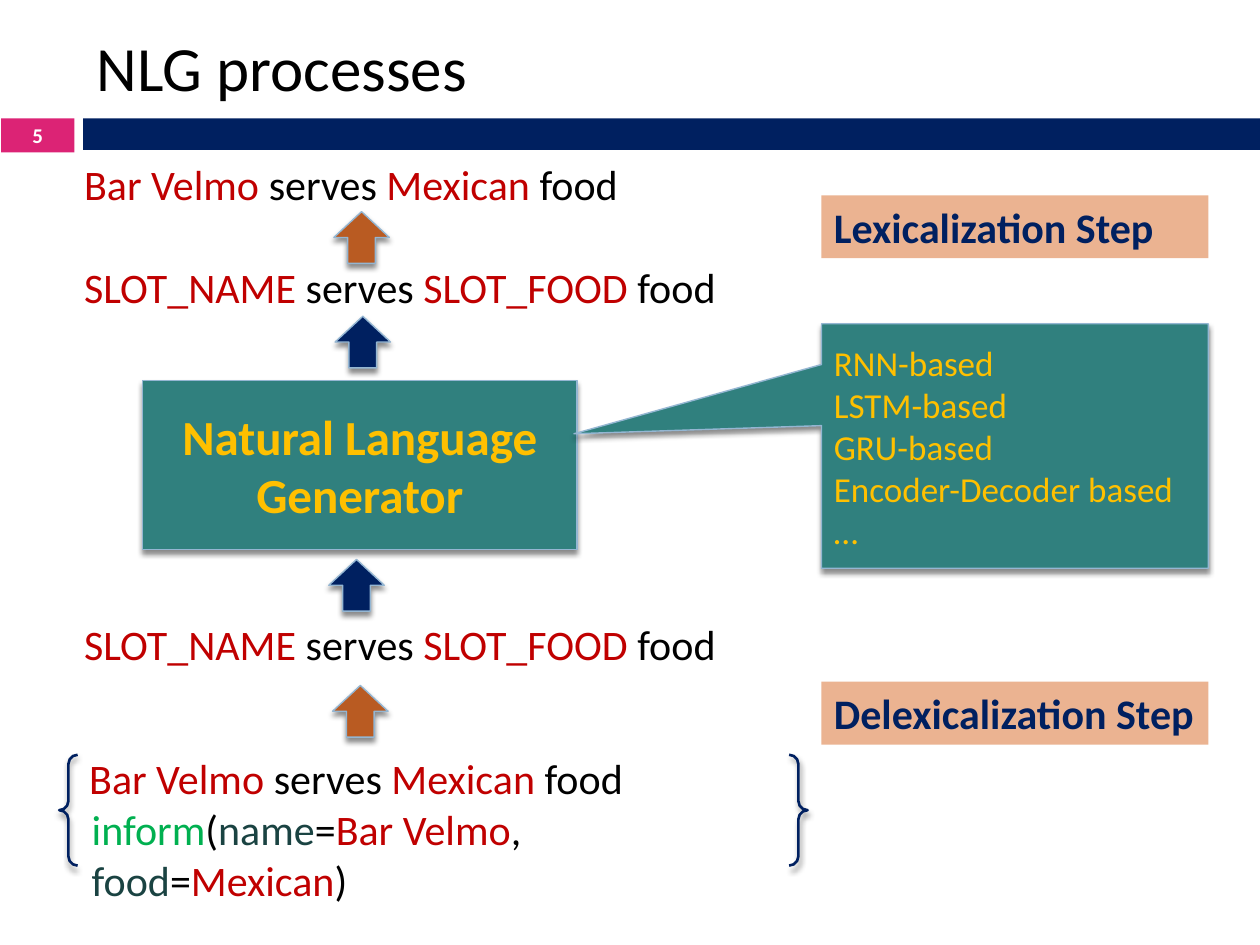
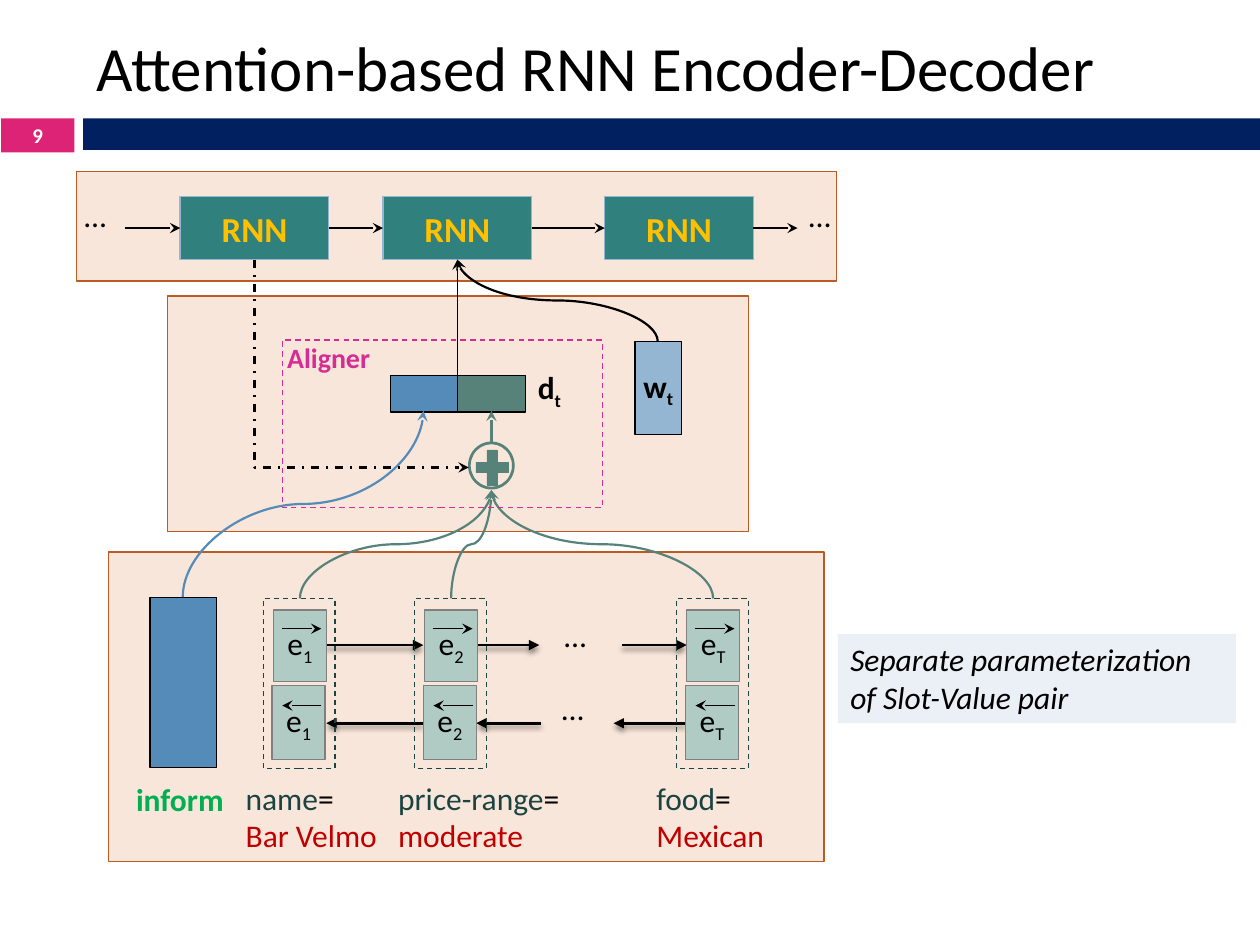
import lxml.etree
import pptx
import pptx.dml.color
import pptx.enum.dml
import pptx.enum.shapes
import pptx.enum.text
import pptx.oxml.ns
import pptx.util

Inches = pptx.util.Inches
Pt = pptx.util.Pt
qn = pptx.oxml.ns.qn
SHAPE = pptx.enum.shapes.MSO_SHAPE
CONNECTOR = pptx.enum.shapes.MSO_CONNECTOR
DASH = pptx.enum.dml.MSO_LINE
ALIGN = pptx.enum.text.PP_ALIGN
ANCHOR = pptx.enum.text.MSO_ANCHOR

FONT = "Calibri"
THIN = 0.79
COLOURS = {
    "black": "000000", "white": "FFFFFF", "pink": "DC2375", "navy": "002060",
    "red": "C00000", "green": "00B050", "slot": "1A4342", "teal": "30807E",
    "gold": "FFC000", "sky": "94B6D2", "rust": "B95B22", "peach": "EBB391",
    "cream": "F8E6DA", "magenta": "D62D94", "blue": "558BB8", "moss": "578279",
    "mint": "B0CAC4", "grey": "808080", "pale": "EAF0F6",
}
VALUE_SENTENCE = [("Bar Velmo ", "red"), ("serves ", "black"),
                  ("Mexican ", "red"), ("food", "black")]
SLOT_SENTENCE = [("SLOT_NAME ", "red"), ("serves ", "black"),
                 ("SLOT_FOOD ", "red"), ("food", "black")]


def colour(name):
    return pptx.dml.color.RGBColor.from_string(COLOURS[name])


def set_effects(item, shadow):
    """Replace the theme shadow by a soft one below the item, or by none."""
    properties = item.element.spPr
    for old in properties.findall(qn("a:effectLst")):
        properties.remove(old)
    effects = lxml.etree.SubElement(properties, qn("a:effectLst"))
    if shadow:
        outer = lxml.etree.SubElement(
            effects, qn("a:outerShdw"), blurRad=str(Pt(3)), dist=str(Pt(2.4)),
            dir="5400000", rotWithShape="0")
        tint = lxml.etree.SubElement(outer, qn("a:srgbClr"), val=COLOURS["black"])
        lxml.etree.SubElement(tint, qn("a:alpha"), val="45000")


def set_line(line, name, width, dash=None):
    line.color.rgb = colour(name)
    line.width = Pt(width)
    if dash:
        line.dash_style = dash


def write(box, paragraphs, size, bold=False, italic=False, align=ALIGN.LEFT,
          anchor=ANCHOR.TOP, inset=None, wrap=True):
    """Fill a box; a paragraph is a list of (text, colour[, baseline]) spans."""
    frame = box.text_frame
    frame.word_wrap = wrap
    frame.vertical_anchor = anchor
    if not wrap:
        frame.auto_size = pptx.enum.text.MSO_AUTO_SIZE.SHAPE_TO_FIT_TEXT
    if inset is not None:
        frame.margin_left = frame.margin_right = Inches(inset)
        frame.margin_top = frame.margin_bottom = Inches(inset)
    for index, spans in enumerate(paragraphs):
        para = frame.paragraphs[0] if index == 0 else frame.add_paragraph()
        para.alignment = align
        for text, name, *baseline in spans:
            span = para.add_run()
            span.text = text
            span.font.name = FONT
            span.font.size = Pt(size)
            span.font.bold = bold
            span.font.italic = italic
            span.font.color.rgb = colour(name)
            if baseline:
                span._r.get_or_add_rPr().set("baseline", str(baseline[0] * 1000))


def add_shape(page, kind, at, fill=None, line=None, width=THIN, dash=None, shadow=False):
    shape = page.shapes.add_shape(kind, *map(Inches, at))
    if fill:
        shape.fill.solid()
        shape.fill.fore_color.rgb = colour(fill)
    else:
        shape.fill.background()
    if line:
        set_line(shape.line, line, width, dash)
    else:
        shape.line.fill.background()
    set_effects(shape, shadow)
    return shape


def add_box(page, at, fill=None, line=None, **look):
    return add_shape(page, SHAPE.RECTANGLE, at, fill, line, **look)


def add_text(page, at, paragraphs, size, **style):
    write(page.shapes.add_textbox(*map(Inches, at)), paragraphs, size, **style)


def finish_connector(connector, name, width, head, dash=None, shadow=False):
    set_line(connector.line, name, width, dash)
    outline = connector.element.spPr.find(qn("a:ln"))
    lxml.etree.SubElement(outline, qn("a:tailEnd"), type=head)
    set_effects(connector, shadow)


def add_arrow(page, start, end, name="black", width=1.25, head="stealth", shadow=False):
    connector = page.shapes.add_connector(
        CONNECTOR.STRAIGHT, *map(Inches, (*start, *end)))
    finish_connector(connector, name, width, head, shadow=shadow)


def add_turned_arrow(page, kind, start, end, turn, flips, name, dash=None):
    """Add a connector that leaves vertically, by turning its frame a quarter."""
    run, rise = abs(end[0] - start[0]), abs(end[1] - start[1])
    left = (start[0] + end[0] - rise) / 2
    top = (start[1] + end[1] - run) / 2
    connector = page.shapes.add_connector(
        kind, *map(Inches, (left, top, left + rise, top + run)))
    frame = connector.element.spPr.find(qn("a:xfrm"))
    frame.set("rot", str(turn * 60000))
    for flip in flips:
        frame.set("flip" + flip, "1")
    if kind == CONNECTOR.ELBOW:
        connector.element.spPr.find(qn("a:prstGeom")).set("prst", "bentConnector2")
    finish_connector(connector, name, 1.25, "stealth", dash)


def add_rising_curve(page, start, end, name):
    turn, flips = (90, "HV") if end[0] > start[0] else (270, "V")
    add_turned_arrow(page, CONNECTOR.CURVE, start, end, turn, flips, name)


def start_slide(deck, title, number):
    page = deck.slides.add_slide(deck.slide_layouts[6])
    add_box(page, (0.66, 0.94, 9.35, 0.25), "navy")
    add_text(page, (0.67, 0.25, 8.92, 0.55), [[(title, "black")]], 36,
             anchor=ANCHOR.MIDDLE)
    badge = add_box(page, (0.01, 0.94, 0.58, 0.27), "pink")
    write(badge, [[(number, "white")]], 12, bold=True, align=ALIGN.CENTER,
          anchor=ANCHOR.MIDDLE)
    return page


def build_processes(deck):
    page = start_slide(deck, "NLG processes", "5")
    sentence_box = add_box(page, (0.61, 5.92, 5.56, 0.46), "white")
    write(sentence_box, [VALUE_SENTENCE], 24)
    add_text(page, (0.63, 6.33, 5.6, 0.54), [[
        ("inform", "green"), ("(", "black"), ("name", "slot"), ("=", "black"),
        ("Bar Velmo", "red"), (", ", "black"), ("food", "slot"), ("=", "black"),
        ("Mexican", "red"), (")", "black")]], 24)
    for top, sentence in ((4.86, SLOT_SENTENCE), (2.03, SLOT_SENTENCE),
                          (1.21, VALUE_SENTENCE)):
        add_text(page, (0.57, top, 9.2, 0.5), [sentence], 24)

    for top, step in ((1.55, "Lexicalization Step"), (5.41, "Delexicalization Step")):
        label = add_box(page, (6.52, top, 3.07, 0.5), "peach")
        write(label, [[(step, "navy")]], 24, bold=True)

    generator = add_box(page, (1.13, 3.02, 3.45, 1.34), "teal", "sky", shadow=True)
    write(generator, [[("Natural Language Generator", "gold")]], 28, bold=True,
          align=ALIGN.CENTER, anchor=ANCHOR.MIDDLE)
    for left, top, fill in ((2.61, 4.44, "navy"), (2.66, 2.51, "navy"),
                            (2.64, 5.44, "rust"), (2.65, 1.68, "rust")):
        add_shape(page, SHAPE.UP_ARROW, (left, top, 0.44, 0.41), fill, "sky", shadow=True)

    callout = add_shape(page, SHAPE.RECTANGULAR_CALLOUT, (6.52, 2.57, 3.07, 1.94),
                        "teal", "sky", shadow=True)
    callout.adjustments[0], callout.adjustments[1] = -1.14, -0.05
    models = ("RNN-based", "LSTM-based", "GRU-based", "Encoder-Decoder based", "…")
    write(callout, [[(model, "gold")] for model in models], 20, anchor=ANCHOR.MIDDLE)
    add_shape(page, SHAPE.DOUBLE_BRACE, (0.47, 5.99, 5.94, 0.88), line="navy",
              width=1.5, shadow=True)


def add_symbol_box(page, at, fill, line, letter, index, bold=False):
    box = add_box(page, at, fill, line)
    write(box, [[(letter, "black"), (index, "black", -25)]], 18, bold=bold,
          align=ALIGN.CENTER, anchor=ANCHOR.MIDDLE, inset=0)


def add_encoder_state(page, left, index):
    """Add one slot's forward and backward states in a dashed frame."""
    add_box(page, (left - 0.07, 4.75, 0.57, 1.35), line="slot", width=0.75, dash=DASH.DASH)
    add_symbol_box(page, (left + 0.01, 4.84, 0.42, 0.57), "mint", "grey", "e", index)
    add_symbol_box(page, (left, 5.44, 0.42, 0.59), "mint", "grey", "e", index)
    near, far = left + 0.08, left + 0.39
    add_arrow(page, (near, 4.99), (far, 4.99), width=0.25)
    add_arrow(page, (far, 5.6), (near, 5.6), width=0.25)


def add_encoder(page):
    add_box(page, (1.19, 4.74, 0.53, 1.35), "blue", "black")
    for start, end in ((2.59, 3.36), (3.78, 4.28), (4.94, 5.45)):
        add_arrow(page, (start, 5.12), (end, 5.12), width=1.5, head="triangle", shadow=True)
    for start, end in ((3.36, 2.59), (4.29, 3.78), (5.44, 4.87)):
        add_arrow(page, (start, 5.74), (end, 5.74), width=1.5, head="triangle", shadow=True)
    for left, index in ((2.16, "1"), (3.36, "2"), (5.44, "T")):
        add_encoder_state(page, left, index)
        add_rising_curve(page, (left + 0.22, 4.75), (3.9, 3.89), "moss")
    add_text(page, (1.08, 6.19, 0.7, 0.3), [[("inform", "green")]], 18, bold=True,
             inset=0, wrap=False)
    for left, width, slot, value in ((1.95, 1.2, "name", "Bar Velmo"),
                                     (3.16, 1.4, "price-range", "moderate"),
                                     (5.21, 1, "food", "Mexican")):
        add_text(page, (left, 6.18, width, 0.61),
                 [[(slot, "slot"), ("=", "black")], [(value, "red")]], 18, inset=0)


def add_aligner(page):
    add_box(page, (2.24, 2.7, 2.54, 1.33), line="magenta", dash=DASH.DASH)
    add_text(page, (2.28, 2.7, 0.67, 0.27), [[("Aligner", "magenta")]], 16, bold=True,
             inset=0, wrap=False)
    for left, fill in ((3.1, "blue"), (3.63, "moss")):
        add_box(page, (left, 2.98, 0.54, 0.29), fill, "black")
    add_text(page, (4.17, 2.87, 0.39, 0.4), [[("d", "black"), ("t", "black", -25)]], 18,
             bold=True, wrap=False)
    add_symbol_box(page, (5.04, 2.71, 0.37, 0.74), "sky", "black", "w", "t", bold=True)
    add_arrow(page, (3.9, 3.51), (3.9, 3.26), "moss", 1.5)
    add_shape(page, SHAPE.MATH_PLUS, (3.73, 3.52, 0.35, 0.38), "moss", "moss", 0.25)
    ring = add_shape(page, SHAPE.DONUT, (3.72, 3.51, 0.36, 0.37), "moss", "moss", 0.75)
    ring.adjustments[0] = 0.03
    add_rising_curve(page, (1.45, 4.74), (3.36, 3.26), "blue")


def add_decoder(page):
    add_arrow(page, (3.63, 2.98), (3.63, 2.06), width=1)
    for left in (1.43, 3.04, 4.8):
        cell = add_box(page, (left, 1.56, 1.18, 0.5), "teal", "sky")
        write(cell, [[("RNN", "gold")]], 20, bold=True, align=ALIGN.CENTER,
              anchor=ANCHOR.MIDDLE)
    for start, end in ((0.99, 1.43), (2.61, 3.04), (4.22, 4.8), (5.98, 6.33)):
        add_arrow(page, (start, 1.81), (end, 1.81))
    add_rising_curve(page, (5.22, 2.71), (3.63, 2.06), "black")
    add_turned_arrow(page, CONNECTOR.ELBOW, (2.02, 2.06), (3.72, 3.71), 270, "H",
                     "black", DASH.DASH_DOT)


def build_attention(deck):
    page = start_slide(deck, "Attention-based RNN Encoder-Decoder", "9")
    for stage in ((0.61, 1.36, 6.03, 0.87), (1.33, 2.35, 4.61, 1.87),
                  (0.86, 4.38, 5.68, 2.46)):
        add_box(page, stage, "cream", "rust")
    add_encoder(page)
    add_aligner(page)
    add_decoder(page)
    for left, top in ((0.67, 1.56), (6.42, 1.56), (4.48, 4.89), (4.46, 5.47)):
        add_text(page, (left, top, 0.41, 0.37), [[("…", "black")]], 18, inset=0)
    note = add_box(page, (6.65, 5.03, 3.16, 0.71), "pale")
    write(note, [[("Separate parameterization", "black")],
                 [("of Slot-Value pair", "black")]], 18, italic=True)


def main():
    deck = pptx.Presentation()
    deck.slide_width, deck.slide_height = Inches(10), Inches(7.5)
    build_processes(deck)
    build_attention(deck)
    deck.save("out.pptx")


if __name__ == "__main__":
    main()
